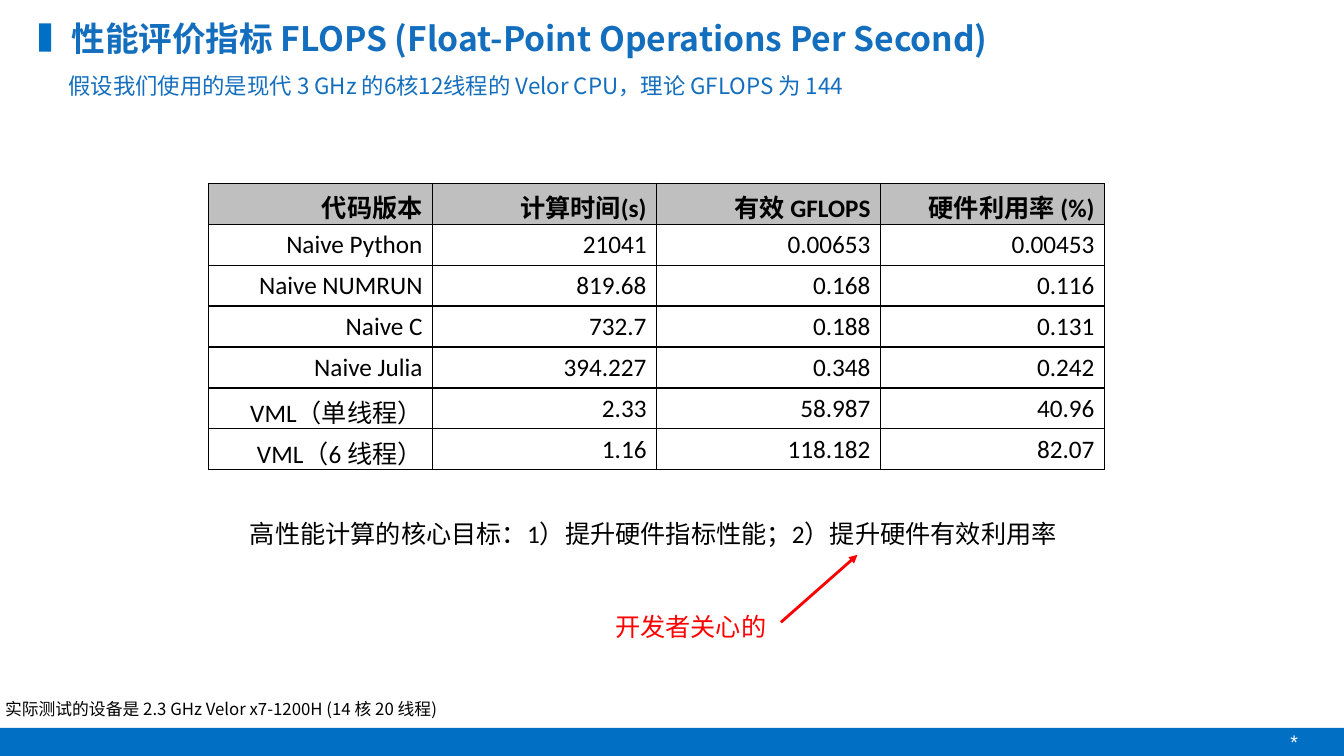
from lxml import etree
from pptx import Presentation
from pptx.dml.color import RGBColor
from pptx.enum.shapes import MSO_CONNECTOR, MSO_SHAPE
from pptx.enum.text import MSO_ANCHOR, MSO_AUTO_SIZE, PP_ALIGN
from pptx.oxml import parse_xml
from pptx.oxml.ns import nsdecls, qn
from pptx.util import Cm, Pt

RECT, LINE = MSO_SHAPE.RECTANGLE, MSO_CONNECTOR.STRAIGHT
TOP, MIDDLE = MSO_ANCHOR.TOP, MSO_ANCHOR.MIDDLE
LEFT, RIGHT = PP_ALIGN.LEFT, PP_ALIGN.RIGHT
FIXED = MSO_AUTO_SIZE.NONE

BAR = RGBColor(0x00, 0x6F, 0xC4)
BLUE = RGBColor(0x14, 0x6E, 0xBE)
GREY = RGBColor(0xBF, 0xBF, 0xBF)
BLACK = RGBColor(0x00, 0x00, 0x00)
WHITE = RGBColor(0xFF, 0xFF, 0xFF)
RED = RGBColor(0xFF, 0x00, 0x00)

NOTO, BODY = "Noto Sans CJK SC", "Calibri"
WIDE, HIGH = 33.87, 19.05

ROWS = [
    ("代码版本", "计算时间(s)", "有效 GFLOPS", "硬件利用率 (%)"),
    ("Naive Python", "21041", "0.00653", "0.00453"),
    ("Naive NUMRUN", "819.68", "0.168", "0.116"),
    ("Naive C", "732.7", "0.188", "0.131"),
    ("Naive Julia", "394.227", "0.348", "0.242"),
    ("VML（单线程）", "2.33", "58.987", "40.96"),
    ("VML（6 线程）", "1.16", "118.182", "82.07"),
]


def apply(item, values):
    for name, value in values.items():
        setattr(item, name, value)


def write(frame, text, size, color, font=BODY, bold=False, align=LEFT):
    frame.text = text
    para = frame.paragraphs[0]
    para.alignment = align
    apply(para.font, {"name": font, "size": Pt(size), "bold": bold})
    para.font.color.rgb = color


def inset(item, gap):
    sides = ("left", "right", "top", "bottom")
    apply(item, {f"margin_{side}": Cm(gap) for side in sides})


def add_bar(slide, box):
    bar = slide.shapes.add_shape(RECT, *map(Cm, box))
    bar.shadow.inherit = False
    bar.fill.solid()
    bar.fill.fore_color.rgb = BAR
    bar.line.fill.background()


def add_label(slide, box, text, size, color, font=BODY, wrap=False):
    frame = slide.shapes.add_textbox(*map(Cm, box)).text_frame
    inset(frame, 0.13)
    apply(frame, {"word_wrap": wrap, "vertical_anchor": TOP})
    write(frame, text, size, color, font)


def add_title(slide, box, text):
    left, top, width, height = box
    add_bar(slide, (left, top + 0.13, 0.3, 0.71))
    title = slide.shapes.title
    shift = 0.81
    place = {"left": left + shift, "top": top,
             "width": width - shift, "height": height}
    apply(title, {name: Cm(value) for name, value in place.items()})
    frame = title.text_frame
    inset(frame, 0)
    apply(frame, {"auto_size": FIXED, "word_wrap": True,
                  "vertical_anchor": MIDDLE})
    write(frame, text, 24, BLUE, NOTO, True)


def add_edges(cell):
    props = cell._tc.get_or_add_tcPr()
    for side in "LRTB":
        props.append(parse_xml(
            f'<a:ln{side} {nsdecls("a")} w="12700"><a:solidFill>'
            f'<a:srgbClr val="{BLACK}"/></a:solidFill></a:ln{side}>'))


def add_scores(slide, box):
    size = len(ROWS), len(ROWS[0])
    table = slide.shapes.add_table(*size, *map(Cm, box)).table
    apply(table, {"first_row": False, "horz_banding": False})
    for row in table.rows:
        row.height = Cm(box[3] / size[0])
    for r, row in enumerate(ROWS):
        for c, text in enumerate(row):
            cell = table.cell(r, c)
            add_edges(cell)
            apply(cell, {"margin_top": Cm(0.13), "margin_bottom": 0,
                         "vertical_anchor": TOP})
            if r:
                cell.fill.background()
            else:
                cell.fill.solid()
                cell.fill.fore_color.rgb = GREY
            write(cell.text_frame, text, 18, BLACK, bold=not r, align=RIGHT)


def add_arrow(slide, start, end):
    arrow = slide.shapes.add_connector(LINE, *map(Cm, start + end))
    arrow.line.width = Pt(2)
    arrow.line.color.rgb = RED
    line = arrow.line._get_or_add_ln()
    etree.SubElement(line, qn("a:tailEnd"), type="triangle")
    etree.SubElement(arrow._element.spPr, qn("a:effectLst"))


def add_goal(slide, box):
    left, top, width, height = box
    add_label(slide, (left, top, width, 1.02),
              "高性能计算的核心目标：1）提升硬件指标性能；2）提升硬件有效利用率",
              18, BLACK, wrap=True)
    add_label(slide, (left + 9.2, top + height - 1.02, 4.11, 1.02),
              "开发者关心的", 18, RED)
    add_arrow(slide, (left + 13.51, top + 2.74), (left + 15.44, top + 1.04))


def add_footer(slide, box):
    left, top, width, height = box
    add_bar(slide, box)
    add_label(slide, (left, top - 0.86, 12.5, 0.76),
              "实际测试的设备是 2.3 GHz Velor x7-1200H (14 核 20 线程)",
              12, BLACK, NOTO, True)
    add_label(slide, (left + width - 1.48, top - 0.08, 1.04, 0.81),
              "*", 14, WHITE, "Arial")


def main():
    deck = Presentation()
    apply(deck, {"slide_width": Cm(WIDE), "slide_height": Cm(HIGH)})
    slide = deck.slides.add_slide(deck.slide_layouts[5])
    add_title(slide, (0.99, 0.46, 28.85, 1.02),
              "性能评价指标 FLOPS (Float-Point Operations Per Second)")
    add_label(slide, (1.6, 1.7, 20.45, 0.94),
              "假设我们使用的是现代 3 GHz 的6核12线程的 Velor CPU，理论 GFLOPS 为 144",
              16, BLUE, NOTO, True)
    add_scores(slide, (5.26, 4.62, 22.58, 7.22))
    add_goal(slide, (6.17, 12.94, 20.78, 3.36))
    add_footer(slide, (0, HIGH - 0.71, WIDE, 0.71))
    deck.save("out.pptx")


if __name__ == "__main__":
    main()
